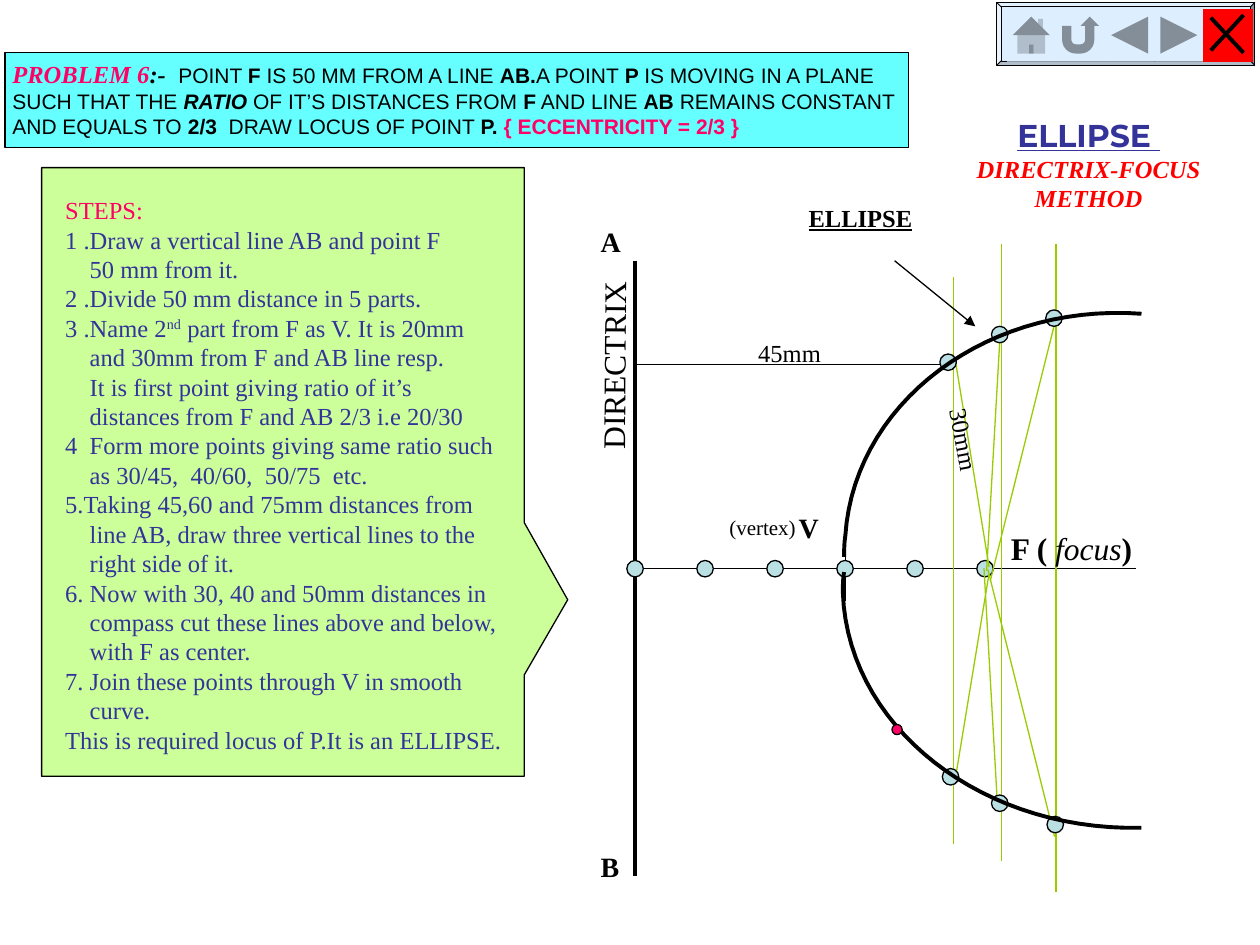
from dataclasses import dataclass, replace
from typing import NamedTuple

from lxml.etree import SubElement
from pptx import Presentation
from pptx.dml.color import RGBColor
from pptx.enum.shapes import MSO_CONNECTOR, MSO_SHAPE as Preset
from pptx.enum.text import MSO_ANCHOR, MSO_AUTO_SIZE as AutoSize, PP_ALIGN as Align
from pptx.oxml.ns import qn
from pptx.util import Pt

BLACK = RGBColor(0x00, 0x00, 0x00)
RED = RGBColor(0xFF, 0x00, 0x00)
PINK = RGBColor(0xFF, 0x00, 0x66)
NAVY = RGBColor(0x33, 0x33, 0x99)
CYAN = RGBColor(0x66, 0xFF, 0xFF)
LIME = RGBColor(0xCC, 0xFF, 0x99)
GREEN = RGBColor(0x99, 0xCC, 0x00)
DOT_BLUE = RGBColor(0xBB, 0xE0, 0xE3)
BUTTON_BLUE = RGBColor(0xDD, 0xEE, 0xFF)
SERIF, SANS, DISPLAY = "Times New Roman", "Arial", "Montserrat"
LINE_HEIGHT = 1.2
DIRECTRIX_X, AXIS_Y = 362.9, 325
DOT_SIZE, DOT_GAP = 9.4, 40
CURVE_STEPS = 30


class Box(NamedTuple):
    left: float
    top: float
    width: float
    height: float


class Segment(NamedTuple):
    x1: float
    y1: float
    x2: float
    y2: float


@dataclass(frozen=True)
class Run:
    text: str
    size: float = 14
    font: str = SERIF
    color: RGBColor = BLACK
    bold: bool = False
    italic: bool = False
    underline: bool = False
    superscript: bool = False


class Line(NamedTuple):
    runs: list[Run]
    indent: float = 0


class Label(NamedTuple):
    box: Box
    runs: list[Run]
    rotation: float = 0
    wrap: bool = False
    align: Align = Align.LEFT


def to_points(values) -> list:
    return [Pt(value) for value in values]


def write_lines(shape, lines: list[Line], wrap: bool, align: Align) -> None:
    frame = shape.text_frame
    frame.word_wrap = wrap
    frame.auto_size = AutoSize.SHAPE_TO_FIT_TEXT
    frame.vertical_anchor = MSO_ANCHOR.TOP
    for index, line in enumerate(lines):
        paragraph = frame.paragraphs[0] if index == 0 else frame.add_paragraph()
        paragraph.alignment = align
        paragraph.line_spacing = Pt(LINE_HEIGHT * line.runs[0].size)
        if line.indent:
            paragraph._p.get_or_add_pPr().set("marL", str(Pt(line.indent)))
        for item in line.runs:
            run = paragraph.add_run()
            run.text = item.text
            font = run.font
            font.size, font.name = Pt(item.size), item.font
            font.bold, font.italic, font.underline = item.bold, item.italic, item.underline
            font.color.rgb = item.color
            if item.superscript:
                font._element.set("baseline", "30000")


def add_text(slide, box: Box, lines: list[Line], wrap=False, align=Align.LEFT, rotation=0.0) -> None:
    shape = slide.shapes.add_textbox(*to_points(box))
    write_lines(shape, lines, wrap, align)
    shape.rotation = rotation


def add_preset(slide, preset: Preset, box: Box, fill: RGBColor, line_width: float = 0.75,
               adjustments: tuple = ()) -> None:
    """Draw a filled preset shape; a line width of 0 means no outline."""
    shape = slide.shapes.add_shape(preset, *to_points(box))
    shape.shadow.inherit = False
    shape.fill.solid()
    shape.fill.fore_color.rgb = fill
    if line_width:
        shape.line.color.rgb = BLACK
        shape.line.width = Pt(line_width)
    else:
        shape.line.fill.background()
    for index, value in enumerate(adjustments):
        shape.adjustments[index] = value


def add_dot(slide, x: float, y: float, size: float = DOT_SIZE, fill: RGBColor = DOT_BLUE) -> None:
    add_preset(slide, Preset.OVAL, Box(x - size / 2, y - size / 2, size, size), fill)


def add_line(slide, segment: Segment, color=BLACK, width: float = 0.75, arrow: bool = False) -> None:
    line = slide.shapes.add_connector(MSO_CONNECTOR.STRAIGHT, *to_points(segment))
    line.line.color.rgb = color
    line.line.width = Pt(width)
    if arrow:
        SubElement(line.line._get_or_add_ln(), qn("a:tailEnd"), type="triangle")
    SubElement(line._element.spPr, qn("a:effectLst"))


def bezier_points(controls: list[tuple]) -> list[tuple]:
    points = []
    for step in range(1, CURVE_STEPS + 1):
        t = step / CURVE_STEPS
        weights = ((1 - t) ** 3, 3 * t * (1 - t) ** 2, 3 * t * t * (1 - t), t ** 3)
        points.append(tuple(Pt(sum(w * c[axis] for w, c in zip(weights, controls))) for axis in (0, 1)))
    return points


def add_curve(slide, controls: list[tuple]) -> None:
    """Draw chained cubic Bezier pieces as one open outline."""
    builder = slide.shapes.build_freeform(*to_points(controls[0]), scale=1.0)
    for first in range(0, len(controls) - 1, 3):
        builder.add_line_segments(bezier_points(controls[first:first + 4]), close=False)
    curve = builder.convert_to_shape()
    curve.shadow.inherit = False
    curve.fill.background()
    curve.line.color.rgb = BLACK
    curve.line.width = Pt(2.25)


BODY = Run("", 12, SANS)
STEP = Run("", 14, SERIF, NAVY)


def body(text: str, **style) -> Run:
    return replace(BODY, text=text, **style)


def step(text: str, indent: float = 0) -> Line:
    return Line([replace(STEP, text=text)], indent)


def bold_body(*texts: str) -> list[Run]:
    """Alternate plain and bold runs, starting plain."""
    return [body(text, bold=index % 2 == 1) for index, text in enumerate(texts)]


TITLE = [Line([Run("ELLIPSE ", 18, DISPLAY, NAVY, bold=True, underline=True)]),
         Line([Run("DIRECTRIX-FOCUS METHOD", color=RED, bold=True, italic=True)])]
PROBLEM = [
    Line([Run("PROBLEM 6", color=PINK, bold=True, italic=True), Run(":-  ", bold=True, italic=True),
          *bold_body("POINT ", "F", " IS 50 MM FROM A LINE ", "AB.", "A POINT", " P ",
                     "IS MOVING IN A PLANE")]),
    Line([body("SUCH THAT THE "), body("RATIO", bold=True, italic=True),
          *bold_body(" OF IT’S DISTANCES FROM ", "F", " AND LINE ", "AB ", "REMAINS CONSTANT")]),
    Line([*bold_body("AND EQUALS TO ", "2/3  ", "DRAW LOCUS OF POINT ", "P."),
          body(" { ECCENTRICITY = 2/3 }", bold=True, color=PINK)]),
]
INDENT = 14
STEPS = [
    Line([replace(STEP, text="STEPS:", color=PINK)]),
    step("1 .Draw a vertical line AB and point F"),
    step("50 mm from it.", INDENT),
    step("2 .Divide 50 mm distance in 5 parts."),
    Line([replace(STEP, text="3 .Name 2"), replace(STEP, text="nd", superscript=True),
          replace(STEP, text=" part from F as V. It is 20mm")]),
    step("and 30mm from F and AB line resp.", INDENT),
    step("It is first point giving ratio of it’s", INDENT),
    step("distances from F and AB 2/3 i.e 20/30", INDENT),
    step("4  Form more points giving same ratio such"),
    step("as 30/45,  40/60,  50/75  etc.", INDENT),
    step("5.Taking 45,60 and 75mm distances from"),
    step("line AB, draw three vertical lines to the", INDENT),
    step("right side of it.", INDENT),
    step("6. Now with 30, 40 and 50mm distances in"),
    step("compass cut these lines above and below,", INDENT),
    step("with F as center.", INDENT),
    step("7. Join these points through V in smooth"),
    step("curve.", INDENT),
    step("This is required locus of P.It is an ELLIPSE."),
]
LABELS = [
    Label(Box(570.2, 298.8, 84.2, 28.8), [Run("F ( ", 18, bold=True), Run("focus", 18, italic=True),
                                          Run(")", 18, bold=True)], align=Align.CENTER),
    Label(Box(295.2, 194.4, 110.2, 28.8), [Run("DIRECTRIX", 18)], 270.3),
    Label(Box(449.3, 288, 25.9, 26.6), [Run("V", 16, bold=True)]),
    Label(Box(455, 112.3, 175.7, 24.5), [Run("ELLIPSE", bold=True, underline=True)], wrap=True),
    Label(Box(409.7, 290.2, 52.6, 21.6), [Run("(vertex)", 12)]),
    Label(Box(336.2, 124.6, 25.9, 26.6), [Run("A", 16, bold=True)]),
    Label(Box(336.2, 481.7, 25.2, 26.6), [Run("B", 16, bold=True)]),
    Label(Box(525.6, 239, 50.4, 24.5), [Run("30mm")], 79.5),
    Label(Box(426.2, 189.4, 50.4, 24.5), [Run("45mm")]),
]
BLACK_LINES = [Segment(DIRECTRIX_X, AXIS_Y, 649.4, AXIS_Y), Segment(483.1, 306.7, 483.1, 343.4),
               Segment(542.9, 208.1, DIRECTRIX_X, 208.1)]
GREEN_LINES = [
    Segment(545, 482.4, 545, 158.4), Segment(565.2, 324, 545.8, 205.2), Segment(565.2, 327.6, 545.8, 445.7),
    Segment(572.4, 139.7, 572.4, 491.8), Segment(563.8, 326.2, 571.7, 187.9),
    Segment(562.3, 324.7, 570.2, 463.7), Segment(603.4, 139.7, 603.4, 509.8),
    Segment(565.9, 331.9, 604.1, 179.3), Segment(564.5, 325.4, 602.6, 478.1),
]
CURVE_DOTS = [(571.3, 191.2), (602.3, 181.8), (541.8, 207), (543.2, 443.9), (571.3, 459), (603, 471.2)]
UPPER_CURVE = [(652.3, 179.3), (564.5, 172.8), (488.2, 229.7), (483.1, 306),
               (482.4, 310.3), (482.4, 314.6), (482.4, 318.2)]
LOWER_CURVE = [(652.3, 473), (560.9, 475.2), (484.6, 415.4), (481.7, 339.1),
               (481.7, 334.8), (481.7, 330.5), (482.4, 326.9)]
BUTTONS = [(Preset.ACTION_BUTTON_HOME, BUTTON_BLUE), (Preset.ACTION_BUTTON_RETURN, BUTTON_BLUE),
           (Preset.ACTION_BUTTON_BACK_OR_PREVIOUS, BUTTON_BLUE),
           (Preset.ACTION_BUTTON_FORWARD_OR_NEXT, BUTTON_BLUE), (Preset.ACTION_BUTTON_CUSTOM, RED)]
CROSS = [Segment(691.9, 10.1, 710.6, 30.2), Segment(710.6, 8.6, 691.9, 28.8)]


def draw_construction(slide) -> None:
    add_line(slide, Segment(DIRECTRIX_X, 149, DIRECTRIX_X, 500.4), width=2.25)
    for segment in BLACK_LINES:
        add_line(slide, segment)
    for index in range(6):
        add_dot(slide, DIRECTRIX_X + index * DOT_GAP, AXIS_Y)
    for segment in GREEN_LINES:
        add_line(slide, segment, GREEN)
    for x, y in CURVE_DOTS:
        add_dot(slide, x, y)
    for controls in (UPPER_CURVE, LOWER_CURVE):
        add_curve(slide, controls)
    add_line(slide, Segment(511.2, 149, 557.3, 186.5), arrow=True)
    add_dot(slide, 512.6, 416.9, 5.8, PINK)


def draw_navigation(slide) -> None:
    add_preset(slide, Preset.BEVEL, Box(569.5, 1.4, 147.6, 36), BUTTON_BLUE, 0.5, (0.07,))
    for index, (preset, fill) in enumerate(BUTTONS):
        add_preset(slide, preset, Box(575.3 + 28.1 * index, 5, 28.1, 30.2), fill, 0)
    for segment in CROSS:
        add_line(slide, segment, width=2.25)


def main() -> None:
    presentation = Presentation()
    presentation.slide_width, presentation.slide_height = Pt(720), Pt(540)
    slide = presentation.slides.add_slide(presentation.slide_layouts[5])
    title = slide.shapes.title
    title.left, title.top, title.width, title.height = to_points(Box(518.4, 62.6, 207.4, 46.1))
    write_lines(title, TITLE, False, Align.CENTER)
    add_preset(slide, Preset.RECTANGLE, Box(2.9, 30.2, 516.2, 54), CYAN)
    add_text(slide, Box(0, 30.2, 527, 53.3), PROBLEM)
    draw_construction(slide)
    for label in LABELS:
        add_text(slide, label.box, [Line(label.runs)], label.wrap, label.align, label.rotation)
    add_preset(slide, Preset.RECTANGULAR_CALLOUT, Box(23.8, 95.8, 275.8, 347.8), LIME,
               adjustments=(0.59, 0.21))
    add_text(slide, Box(30.2, 108, 270, 326.9), STEPS, wrap=True)
    draw_navigation(slide)
    presentation.save("out.pptx")


if __name__ == "__main__":
    main()
